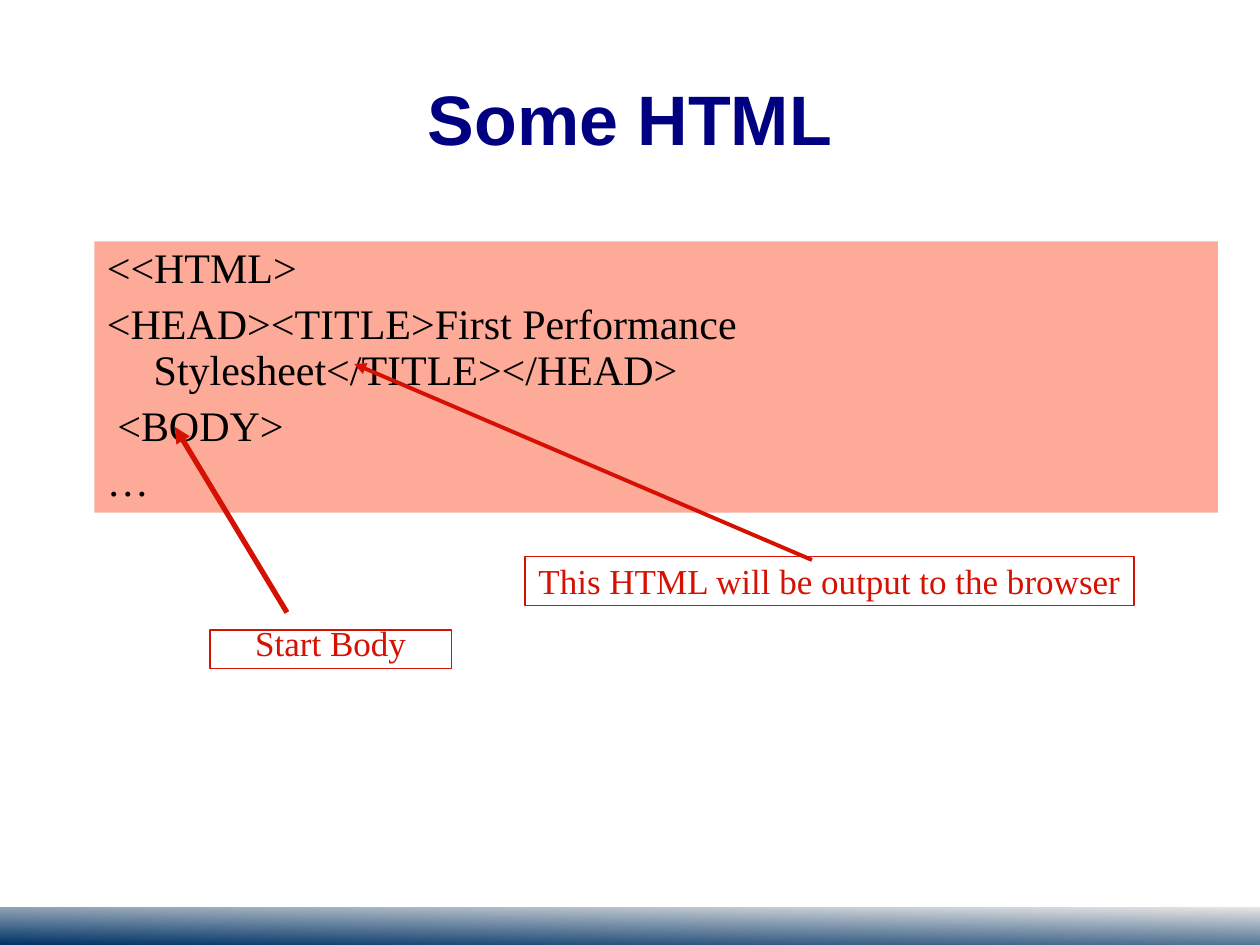
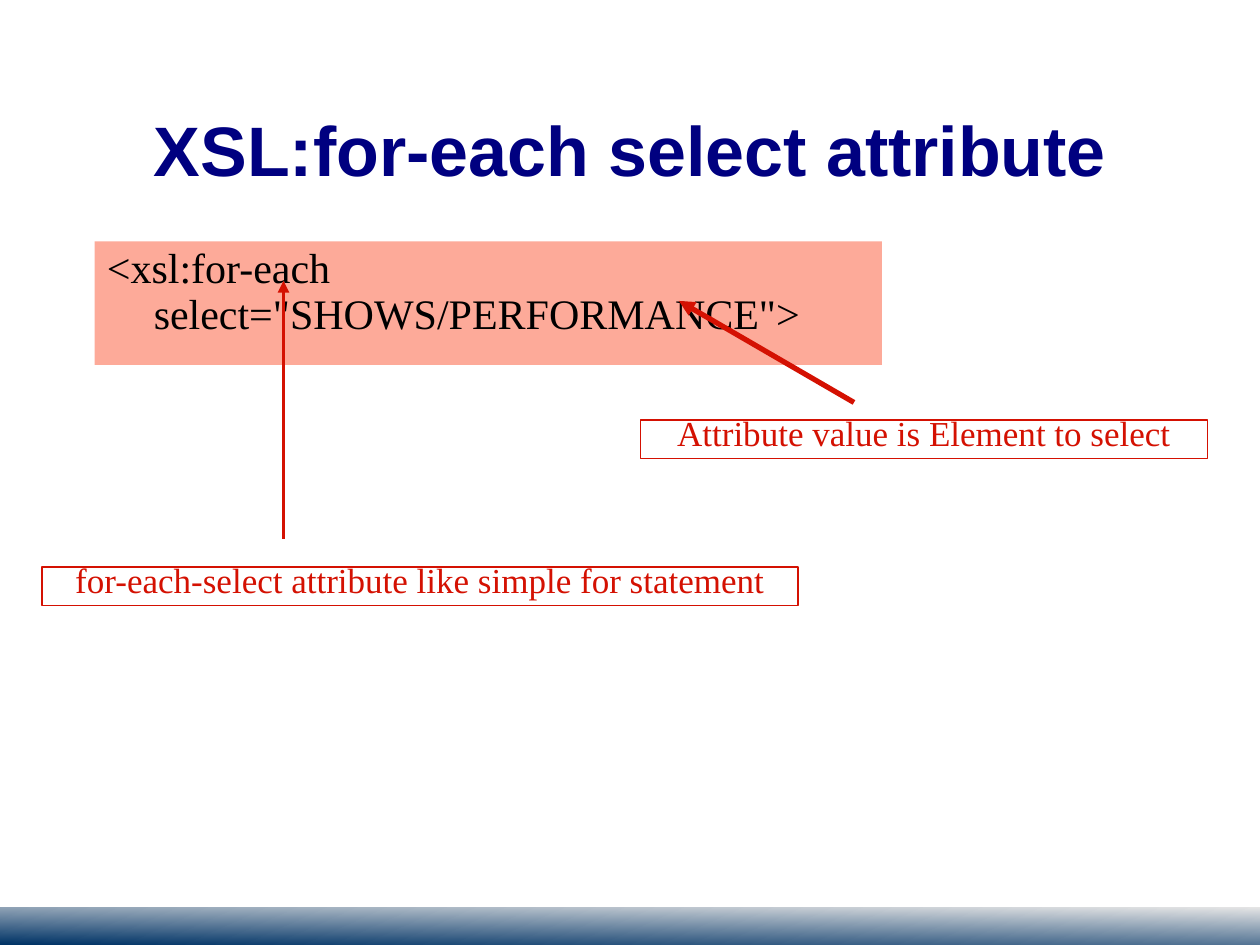
from lxml.etree import SubElement
from pptx import Presentation
from pptx.dml.color import RGBColor
from pptx.enum.shapes import MSO_CONNECTOR, MSO_SHAPE
from pptx.enum.text import MSO_ANCHOR, MSO_AUTO_SIZE, PP_ALIGN
from pptx.oxml.ns import qn
from pptx.util import Pt

WIDTH, HEIGHT = 720, 540
NAVY, SALMON, RED = "000080", "FDAA99", "D41102"
BLACK, WHITE = "000000", "FFFFFF"
BAND_COLOURS = ("E6E6E6", "003366")
BAND_HEIGHT = 21.6
CODE_LEFT, CODE_TOP, HANGING = 54, 138, 26.8

TITLE_FONT = {"name": "Arial", "size": Pt(40), "bold": True}
CODE_FONT = {"name": "Times New Roman", "size": Pt(24)}
CALLOUT_FONT = {"name": "Times New Roman", "size": Pt(20)}
TITLE_PARAGRAPH = {"alignment": PP_ALIGN.CENTER, "line_spacing": 0.54}
CODE_PARAGRAPH = {"alignment": PP_ALIGN.LEFT, "line_spacing": 0.9, "space_before": Pt(6)}
MARGINS = {
    "margin_left": Pt(7.2), "margin_right": Pt(7.2),
    "margin_top": Pt(3.6), "margin_bottom": Pt(3.6),
    "auto_size": MSO_AUTO_SIZE.NONE,
}


def colour(value):
    return RGBColor.from_string(value)


def apply(target, values):
    for name, value in values.items():
        setattr(target, name, value)


class Deck:
    def __init__(self):
        self.presentation = Presentation()
        self.presentation.slide_width = Pt(WIDTH)
        self.presentation.slide_height = Pt(HEIGHT)
        self.slide = None

    def add_slide(self, title, top, height):
        self.slide = self.presentation.slides.add_slide(self.presentation.slide_layouts[5])
        self.band()
        shape = self.slide.shapes.title
        box = {"left": 54, "top": top, "width": 612, "height": height}
        apply(shape, {name: Pt(value) for name, value in box.items()})
        self.fill_text(shape, [title], TITLE_FONT, NAVY, TITLE_PARAGRAPH)

    def rectangle(self, left, top, width, height, fill=None, line=None):
        shape = self.slide.shapes.add_shape(
            MSO_SHAPE.RECTANGLE, Pt(left), Pt(top), Pt(width), Pt(height))
        shape.shadow.inherit = False
        if fill:
            shape.fill.solid()
            shape.fill.fore_color.rgb = colour(fill)
        if line:
            shape.line.color.rgb = colour(line)
            shape.line.width = Pt(0.75)
        else:
            shape.line.fill.background()
        return shape

    def band(self):
        shape = self.rectangle(0, HEIGHT - BAND_HEIGHT, WIDTH, BAND_HEIGHT)
        shape.fill.gradient()
        shape.fill.gradient_angle = 269
        for position, (stop, value) in enumerate(zip(shape.fill.gradient_stops, BAND_COLOURS)):
            stop.position = position
            stop.color.rgb = colour(value)

    def fill_text(self, shape, lines, font, font_colour, layout,
                  anchor=MSO_ANCHOR.MIDDLE, wrap=True):
        frame = shape.text_frame
        apply(frame, {**MARGINS, "vertical_anchor": anchor, "word_wrap": wrap})
        for index, line in enumerate(lines):
            paragraph = frame.add_paragraph() if index else frame.paragraphs[0]
            apply(paragraph, layout)
            run = paragraph.add_run()
            run.text = line
            apply(run.font, font)
            run.font.color.rgb = colour(font_colour)

    def code(self, lines, width, height):
        shape = self.rectangle(CODE_LEFT, CODE_TOP, width, height, SALMON)
        self.fill_text(shape, lines, CODE_FONT, BLACK, CODE_PARAGRAPH, MSO_ANCHOR.TOP)
        for paragraph in shape.text_frame.paragraphs:
            properties = paragraph._p.get_or_add_pPr()
            properties.set("marL", str(Pt(HANGING)))
            properties.set("indent", str(-Pt(HANGING)))

    def callout(self, text, left, top, width, height=22, line_spacing=0.61):
        shape = self.rectangle(left, top, width, height, WHITE, RED)
        layout = {"alignment": PP_ALIGN.CENTER, "line_spacing": line_spacing}
        self.fill_text(shape, [text], CALLOUT_FONT, RED, layout, wrap=False)

    def arrow(self, start, end, weight):
        connector = self.slide.shapes.add_connector(
            MSO_CONNECTOR.STRAIGHT, *(Pt(value) for value in (*start, *end)))
        connector.line.color.rgb = colour(RED)
        connector.line.width = Pt(weight)
        SubElement(connector.line._get_or_add_ln(), qn("a:tailEnd"), type="triangle")
        SubElement(connector._element.spPr, qn("a:effectLst"))


def main():
    deck = Deck()

    deck.add_slide("Some HTML", 36, 79)
    deck.code([
        "<<HTML>",
        "<HEAD><TITLE>First Performance Stylesheet</TITLE></HEAD>",
        " <BODY>",
        "…",
    ], 642, 155)
    deck.callout("Start Body", 120, 360, 138)
    deck.arrow((164, 350), (100, 244), 3)
    deck.callout("This HTML will be output to the browser", 300, 318, 348, 28, 1.0)
    deck.arrow((464, 320), (202.5, 208), 2.25)

    deck.add_slide("XSL:for-each select attribute", 48, 90)
    deck.code(['<xsl:for-each select="SHOWS/PERFORMANCE">'], 450, 70.5)
    deck.callout("Attribute value is Element to select", 366, 240, 324)
    deck.arrow((488, 230), (388, 172), 3)
    deck.callout("for-each-select attribute like simple for statement", 24, 324, 432)
    deck.arrow((162, 308), (162, 160.5), 2.25)

    deck.presentation.save("out.pptx")


if __name__ == "__main__":
    main()
